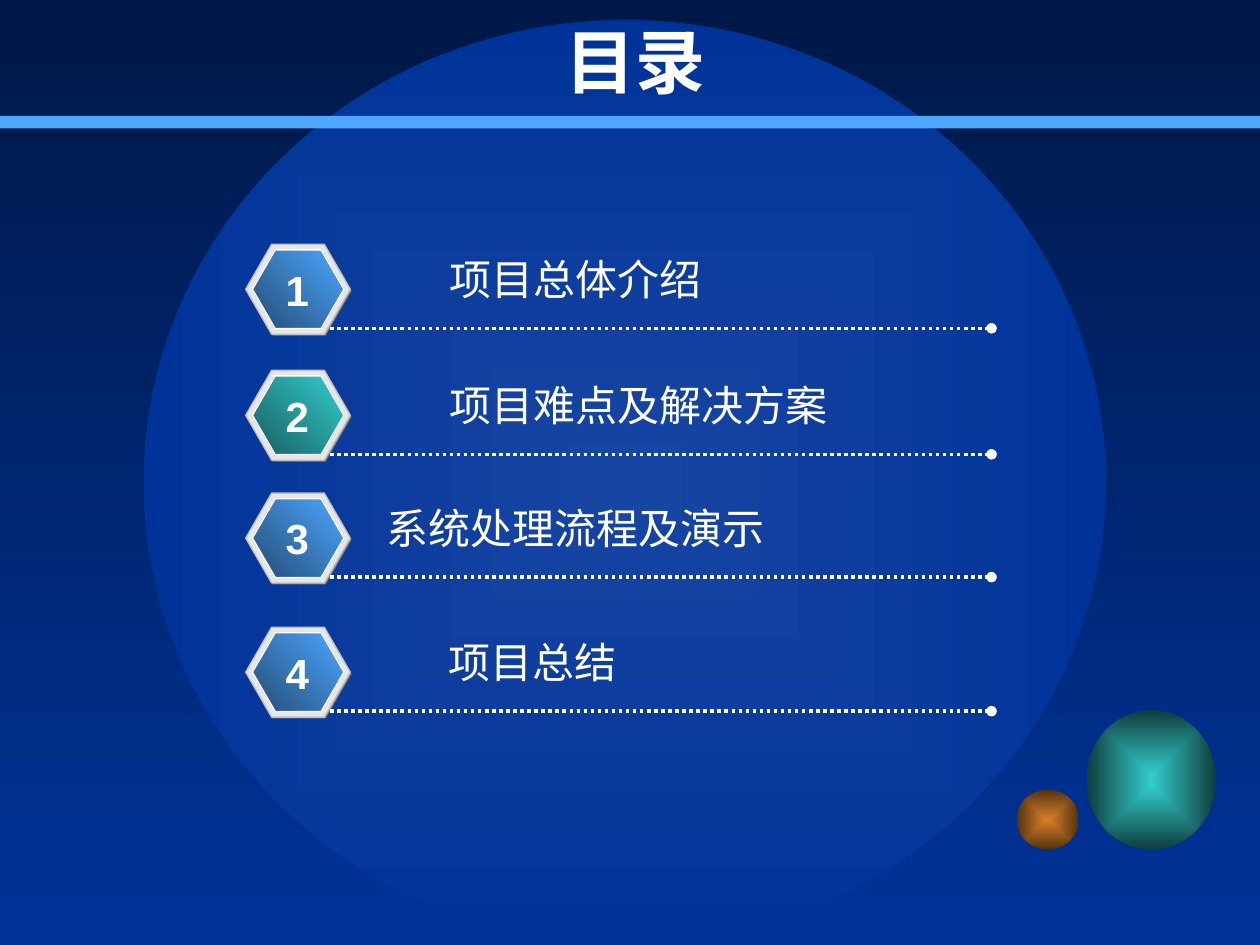
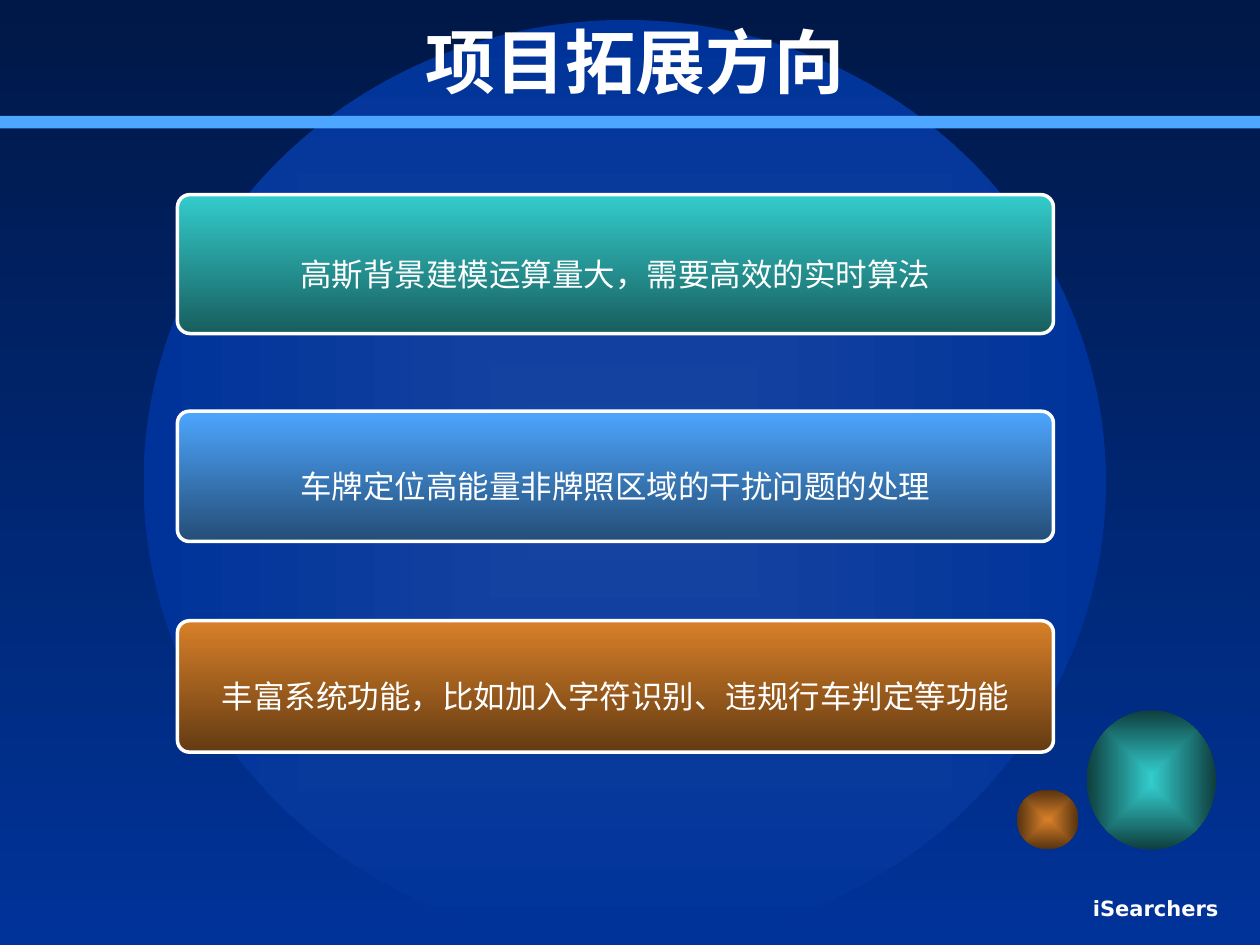
"""Builds a contents slide and an outlook slide on a shared dark blue design."""
from lxml.etree import SubElement
from pptx import Presentation
from pptx.dml.color import RGBColor
from pptx.enum.dml import MSO_LINE
from pptx.enum.shapes import MSO_CONNECTOR, MSO_SHAPE
from pptx.enum.text import MSO_ANCHOR, PP_ALIGN
from pptx.oxml.ns import qn
from pptx.util import Pt

NAVY, ROYAL, GLOW = RGBColor(0, 0x18, 0x47), RGBColor(0, 0x33, 0x99), RGBColor(0x17, 0x45, 0xA2)
SKY, STEEL = RGBColor(0x4D, 0xA6, 0xFF), RGBColor(0x24, 0x4D, 0x76)
TEAL, PINE, DEEP_PINE = RGBColor(0x33, 0xCC, 0xCC), RGBColor(0x18, 0x5E, 0x5E), RGBColor(0x0F, 0x3E, 0x3E)
ORANGE, BROWN, DEEP_BROWN = RGBColor(0xD8, 0x80, 0x28), RGBColor(0x64, 0x3B, 0x13), RGBColor(0x55, 0x32, 0x10)
WHITE, GREY = RGBColor(255, 255, 255), RGBColor(0x80, 0x80, 0x80)
PALE, SILVER = RGBColor(0xE6, 0xE6, 0xE6), RGBColor(0xC0, 0xC0, 0xC0)
CJK, LATIN, FOOTER_FONT = "Noto Sans CJK SC", "Arial", "DejaVu Sans"
DOWN, UP_RIGHT = 270, 45

ORBS = [
    ((82, 11.4, 550, 528.6), (GLOW, ROYAL)),
    ((620.9, 405.9, 74, 79.6), (TEAL, DEEP_PINE)),
    ((581, 451.3, 35.4, 34), (ORANGE, DEEP_BROWN)),
]
CONTENTS_TITLE = "目录"
CONTENTS = [
    ("项目总体介绍", 139.6, 249.6, (STEEL, SKY)),
    ("项目难点及解决方案", 211.6, 249.6, (PINE, TEAL)),
    ("系统处理流程及演示", 281.8, 213.8, (STEEL, SKY)),
    ("项目总结", 358.4, 249.1, (STEEL, SKY)),
]
OUTLOOK_TITLE = "项目拓展方向"
OUTLOOK = [
    ("高斯背景建模运算量大，需要高效的实时算法", 111.2, 79.4, (TEAL, PINE)),
    ("车牌定位高能量非牌照区域的干扰问题的处理", 235, 74.4, (SKY, STEEL)),
    ("丰富系统功能，比如加入字符识别、违规行车判定等功能", 354.7, 75.1, (ORANGE, BROWN)),
]
FOOTER = "iSearchers"


def paint(fill, colours, angle=DOWN):
    fill.gradient()
    fill.gradient_angle = angle
    for stop, colour in zip(fill.gradient_stops, colours):
        stop.color.rgb = colour


def add_part(slide, preset, box, colour, angle=DOWN, outline=None, weight=0.75):
    part = slide.shapes.add_shape(preset, *map(Pt, box))
    part.shadow.inherit = False
    if isinstance(colour, RGBColor):
        part.fill.solid()
        part.fill.fore_color.rgb = colour
    else:
        paint(part.fill, colour, angle)
    if outline is None:
        part.line.fill.background()
    else:
        part.line.color.rgb = outline
        part.line.width = Pt(weight)
    return part


def glow_from_centre(orb):
    gradient = orb._element.spPr.find(qn("a:gradFill"))
    gradient.remove(gradient.find(qn("a:lin")))
    path = SubElement(gradient, qn("a:path"), path="rect")
    SubElement(path, qn("a:fillToRect"), dict.fromkeys("ltrb", "50000"))


def write(frame, text, size, font, bold=False, align=PP_ALIGN.LEFT, wrap=False):
    frame.word_wrap = wrap
    paragraph = frame.paragraphs[0]
    paragraph.alignment = align
    run = paragraph.add_run()
    run.text = text
    run.font.size, run.font.bold = Pt(size), bold
    run.font.color.rgb = WHITE
    run.font.name = font
    SubElement(run._r.get_or_add_rPr(), qn("a:ea"), typeface=CJK)
    return paragraph


def add_text(slide, box, *args, **options):
    frame = slide.shapes.add_textbox(*map(Pt, box)).text_frame
    write(frame, *args, **options)
    return frame


def add_slide(deck, title):
    slide = deck.slides.add_slide(deck.slide_layouts[6])
    paint(slide.background.fill, (NAVY, ROYAL))
    for box, colours in ORBS:
        glow_from_centre(add_part(slide, MSO_SHAPE.OVAL, box, colours))
    add_part(slide, MSO_SHAPE.RECTANGLE, (0, 66.2, 720, 7.2), SKY)
    heading = add_text(slide, (41.8, 12.2, 642.2, 44.6), title, 40, CJK,
                       bold=True, align=PP_ALIGN.CENTER, wrap=True)
    heading.vertical_anchor = MSO_ANCHOR.MIDDLE
    return slide


def add_leader(slide, y):
    leader = slide.shapes.add_connector(MSO_CONNECTOR.STRAIGHT, Pt(188.6), Pt(y), Pt(566.6), Pt(y))
    leader.line.color.rgb = WHITE
    leader.line.width = Pt(2)
    leader.line.dash_style = MSO_LINE.ROUND_DOT
    SubElement(leader.line._get_or_add_ln(), qn("a:tailEnd"), type="oval")
    SubElement(leader._element.spPr, qn("a:effectLst"))


def add_entry(slide, number, label, top, label_left, colours):
    layers = [
        ((141.1, top + 0.8, 59.8, 51.4), GREY, None),
        ((140.4, top, 59.8, 51.4), PALE, SILVER),
        ((144.3, top + 3.2, 52.2, 45), colours, WHITE),
    ]
    for box, colour, outline in layers:
        hexagon = add_part(slide, MSO_SHAPE.HEXAGON, box, colour, UP_RIGHT, outline)
        hexagon.adjustments[0] = 0.289
    add_leader(slide, top + 48)
    add_text(slide, (label_left, top + 1.6, 24 * len(label) + 14.4, 36), label, 24, LATIN)
    add_text(slide, (156.2, top + 7.8, 27.4, 36), str(number), 24, LATIN,
             bold=True, align=PP_ALIGN.CENTER)


def add_panel(slide, text, top, height, colours):
    panel = add_part(slide, MSO_SHAPE.ROUNDED_RECTANGLE, (101.4, top, 500.6, height),
                     colours, outline=WHITE, weight=2)
    panel.adjustments[0] = 0.091
    panel.text_frame.vertical_anchor = MSO_ANCHOR.MIDDLE
    write(panel.text_frame, text, 18, CJK, align=PP_ALIGN.CENTER).line_spacing = 1.5


def main():
    deck = Presentation()
    deck.slide_width, deck.slide_height = Pt(720), Pt(540)

    contents = add_slide(deck, CONTENTS_TITLE)
    for number, entry in enumerate(CONTENTS, 1):
        add_entry(contents, number, *entry)

    outlook = add_slide(deck, OUTLOOK_TITLE)
    add_text(outlook, (541.4, 508.3, 162, 23.8), FOOTER, 12, FOOTER_FONT,
             bold=True, align=PP_ALIGN.RIGHT, wrap=True)
    for panel in OUTLOOK:
        add_panel(outlook, *panel)

    deck.save("out.pptx")


if __name__ == "__main__":
    main()
